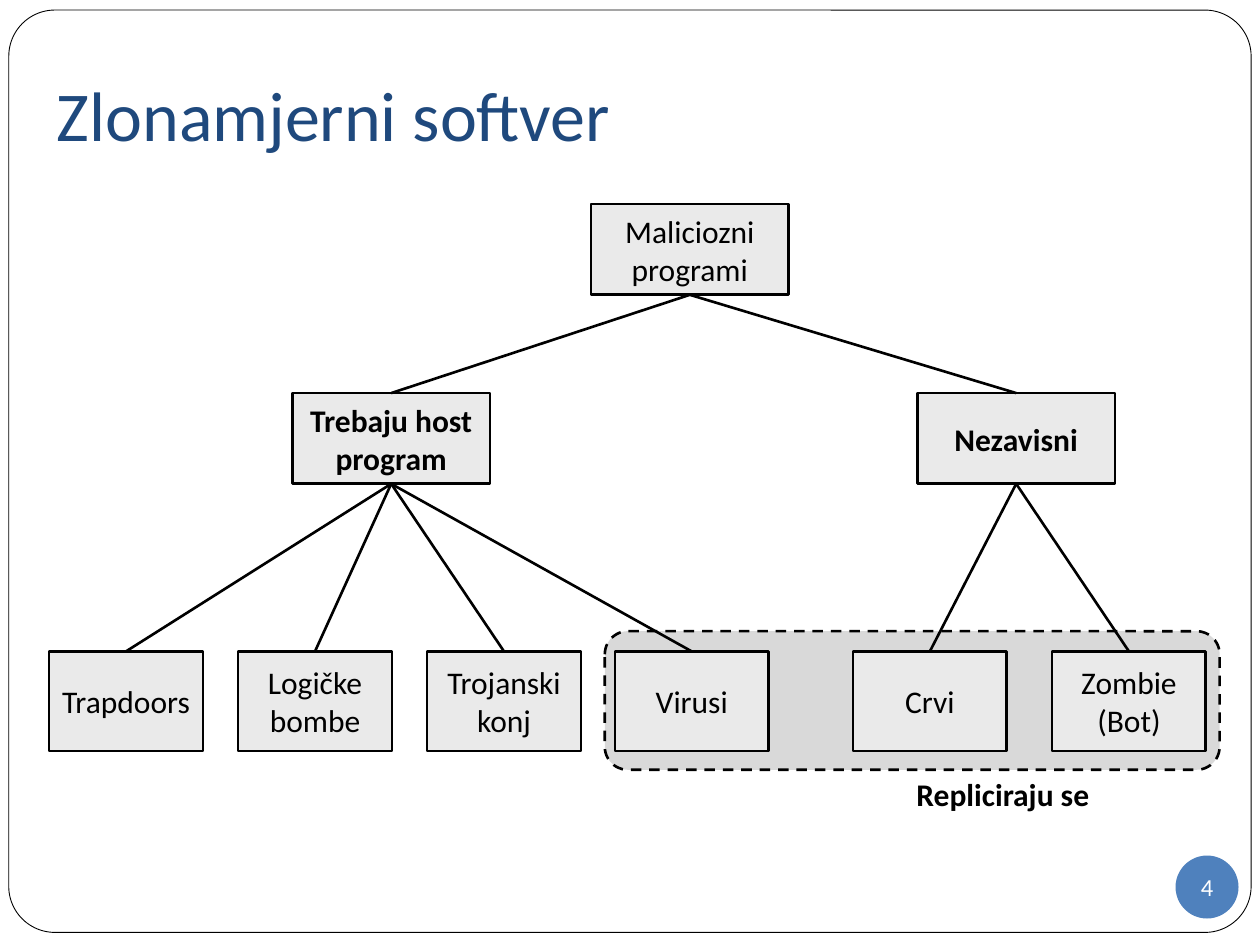
from lxml import etree
from pptx import Presentation
from pptx import util as u
from pptx.dml.color import RGBColor
from pptx.enum import dml, shapes, text
from pptx.oxml.ns import qn

HUES = {
    "ink": "000000",
    "paper": "FFFFFF",
    "title": "1F497D",
    "badge": "4F81BD",
    "node": "EAEAEA",
    "group": "D9D9D9",
}
FONT = "Calibri"
KIND = shapes.MSO_SHAPE
TOP, BOTTOM = 0, 2
ROOT = "Maliciozni programi"
HOST = "Trebaju host program"
FREE = "Nezavisni"
LEAVES = {
    HOST: [("Trapdoors", 0.39), ("Logičke bombe", 1.89),
           ("Trojanski konj", 3.39), ("Virusi", 4.88)],
    FREE: [("Crvi", 6.77), ("Zombie (Bot)", 8.35)],
}


def hue(name):
    return RGBColor.from_string(HUES[name])


def write(frame, words, size, color="ink", bold=False,
          align=text.PP_ALIGN.CENTER):
    frame.vertical_anchor = text.MSO_ANCHOR.MIDDLE
    para = frame.paragraphs[0]
    para.alignment = align
    run = para.add_run()
    run.text = words
    font = run.font
    font.name = FONT
    font.size = u.Pt(size)
    font.bold = bold
    font.color.rgb = hue(color)


def inset(frame, left, top, right, bottom):
    frame.margin_left = u.Inches(left)
    frame.margin_top = u.Inches(top)
    frame.margin_right = u.Inches(right)
    frame.margin_bottom = u.Inches(bottom)


def panel(slide, kind, place, fill, width=None):
    shape = slide.shapes.add_shape(kind, *map(u.Inches, place))
    shape.shadow.inherit = False
    shape.fill.solid()
    shape.fill.fore_color.rgb = hue(fill)
    if width is None:
        shape.line.fill.background()
    else:
        shape.line.color.rgb = hue("ink")
        shape.line.width = u.Pt(width)
    return shape


def node(slide, words, place, bold=False):
    shape = panel(slide, KIND.RECTANGLE, place, "node", 1.5)
    frame = shape.text_frame
    frame.word_wrap = True
    inset(frame, 0.05, 0.05, 0.05, 0.05)
    write(frame, words, 18, bold=bold)
    return shape


def link(slide, parent, child):
    line = slide.shapes.add_connector(
        shapes.MSO_CONNECTOR.STRAIGHT, 0, 0, 0, 0)
    line.begin_connect(parent, BOTTOM)
    line.end_connect(child, TOP)
    line.line.color.rgb = hue("ink")
    line.line.width = u.Pt(1.5)
    etree.SubElement(line._element.spPr, qn("a:effectLst"))


def head(slide, words):
    title = slide.shapes.title
    title.left, title.top, title.width, title.height = map(
        u.Inches, (0.35, 0.3, 9.37, 1.25))
    inset(title.text_frame, 0.1, 0.05, 0.1, 0.1)
    write(title.text_frame, words, 40, "title", align=text.PP_ALIGN.LEFT)


def badge(slide, words):
    shape = panel(slide, KIND.OVAL, (9.33, 6.79, 0.5, 0.5), "badge")
    shape.text_frame.word_wrap = False
    inset(shape.text_frame, 0, 0, 0, 0)
    write(shape.text_frame, words, 14, "paper")


def label(slide, words, place):
    box = slide.shapes.add_textbox(*map(u.Inches, place))
    box.text_frame.word_wrap = True
    write(box.text_frame, words, 18, bold=True)


def tree(slide):
    root = node(slide, ROOT, (4.69, 1.62, 1.57, 0.72))
    for words, left in ((HOST, 2.32), (FREE, 7.28)):
        branch = node(slide, words, (left, 3.12, 1.57, 0.72), True)
        link(slide, root, branch)
        for leaf, x in LEAVES[words]:
            link(slide, branch, node(slide, leaf, (x, 5.17, 1.22, 0.79)))


def main():
    deck = Presentation()
    deck.slide_width, deck.slide_height = u.Inches(10), u.Inches(7.5)
    slide = deck.slides.add_slide(deck.slide_layouts[5])
    border = panel(slide, KIND.ROUNDED_RECTANGLE,
                   (0.07, 0.08, 9.86, 7.32), "paper", 0.5)
    border.adjustments[0] = 0.05
    group = panel(slide, KIND.ROUNDED_RECTANGLE,
                  (4.8, 5.01, 4.88, 1.1), "group", 1.5)
    group.line.dash_style = dml.MSO_LINE.DASH
    title = slide.shapes.title
    group._element.addnext(title._element)
    head(slide, "Zlonamjerni softver")
    badge(slide, "4")
    tree(slide)
    label(slide, "Repliciraju se", (6.82, 6.1, 2.28, 0.4))
    deck.save("out.pptx")


if __name__ == "__main__":
    main()
